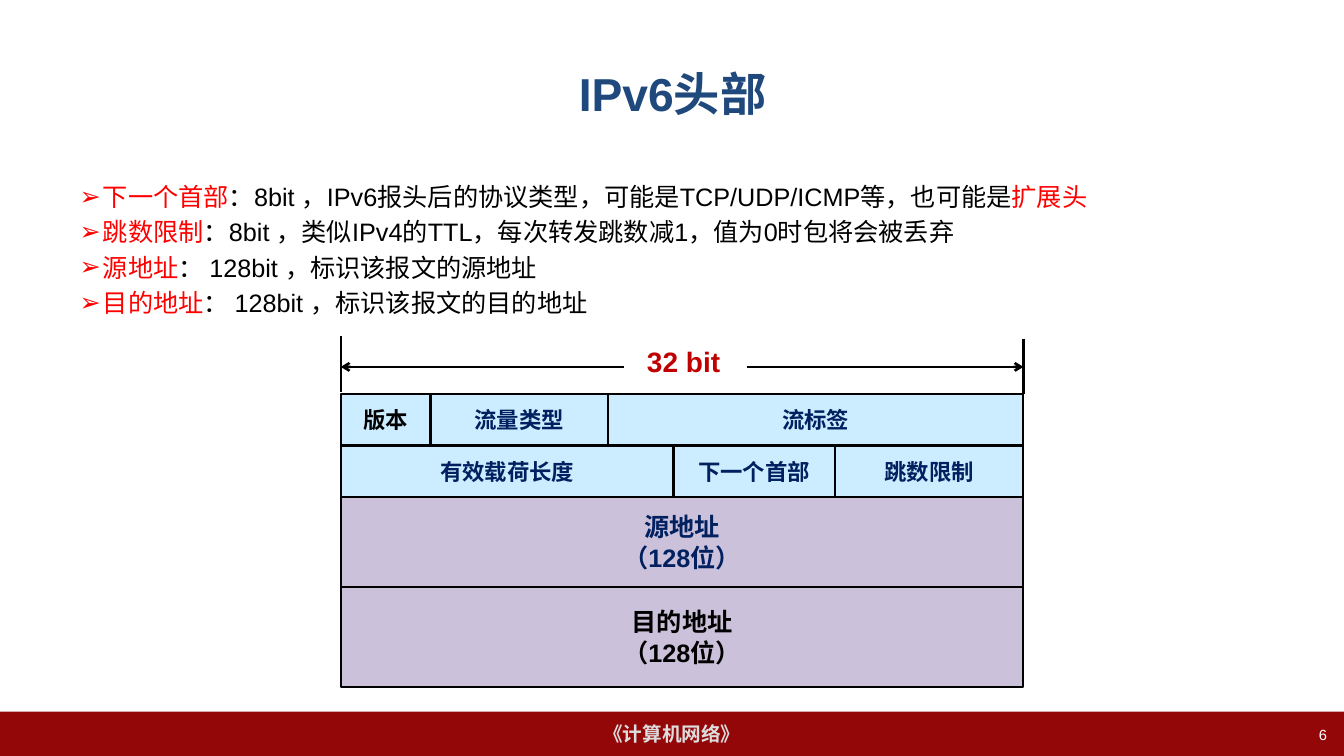
from dataclasses import dataclass

from lxml import etree
from pptx import Presentation
from pptx import util as u
from pptx.dml.color import RGBColor
from pptx.enum import shapes, text
from pptx.oxml.ns import qn

BLACK, NAVY, RED = "000000", "002060", "FF0000"
SKY, LILAC = "CCECFF", "CCC1DA"
LEFT, RIGHT = 3.38, 10.15
CENTER = text.PP_ALIGN.CENTER


@dataclass
class Field:
    lines: list[str]
    width: float
    color: str = NAVY


@dataclass
class Row:
    height: float
    fill: str
    size: float
    fields: list[Field]


@dataclass
class Line:
    start: tuple[float, float]
    end: tuple[float, float]
    arrow: bool = False


HEADER_TOP = 3.91
ROWS = [
    Row(0.51, SKY, 16, [Field(["版本"], 0.89, BLACK), Field(["流量类型"], 1.76),
                        Field(["流标签"], 4.12)]),
    Row(0.51, SKY, 16, [Field(["有效载荷长度"], 3.3), Field(["下一个首部"], 1.6),
                        Field(["跳数限制"], 1.87)]),
    Row(0.89, LILAC, 18, [Field(["源地址", "（128位）"], RIGHT - LEFT)]),
    Row(1.0, LILAC, 18, [Field(["目的地址", "（128位）"], RIGHT - LEFT, BLACK)]),
]
LINES = [
    Line((LEFT, 3.33), (LEFT, 3.89)),
    Line((RIGHT, 3.36), (RIGHT, 3.91)),
    Line((6.19, 3.64), (LEFT, 3.64), True),
    Line((7.41, 3.64), (RIGHT, 3.64), True),
]
BULLETS = [
    [("下一个首部", RED),
     ("：8bit ，IPv6报头后的协议类型，可能是TCP/UDP/ICMP等，也可能是", BLACK),
     ("扩展头", RED)],
    [("跳数限制", RED), ("：8bit ，类似IPv4的TTL，每次转发跳数减1，值为0时包将会被丢弃", BLACK)],
    [("源地址", RED), ("： 128bit ，标识该报文的源地址", BLACK)],
    [("目的地址", RED), ("： 128bit ，标识该报文的目的地址", BLACK)],
]


def rgb(value: str) -> RGBColor:
    return RGBColor.from_string(value)


def place(shape, left: float, top: float, width: float, height: float) -> None:
    shape.left, shape.top = u.Inches(left), u.Inches(top)
    shape.width, shape.height = u.Inches(width), u.Inches(height)


def add_span(para, words: str, size: float, color: str, bold: bool = False) -> None:
    span = para.add_run()
    span.text = words
    span.font.name = "Arial"
    span.font.size = u.Pt(size)
    span.font.bold = bold
    span.font.color.rgb = rgb(color)


def write(frame, lines: list[str], size: float, color: str, bold: bool = True,
          align=CENTER) -> None:
    for index, words in enumerate(lines):
        para = frame.add_paragraph() if index else frame.paragraphs[0]
        para.alignment = align
        add_span(para, words, size, color, bold)


def add_box(page, left: float, top: float, width: float, height: float, fill: str):
    box = page.shapes.add_shape(shapes.MSO_SHAPE.RECTANGLE, u.Inches(left), u.Inches(top),
                                u.Inches(width), u.Inches(height))
    box.shadow.inherit = False
    box.fill.solid()
    box.fill.fore_color.rgb = rgb(fill)
    box.line.fill.background()
    box.text_frame.vertical_anchor = text.MSO_ANCHOR.MIDDLE
    return box


def add_label(page, words: str, left: float, top: float, width: float, height: float,
              size: float, color: str, bold: bool, align) -> None:
    label = page.shapes.add_textbox(u.Inches(left), u.Inches(top),
                                    u.Inches(width), u.Inches(height))
    label.text_frame.word_wrap = True
    write(label.text_frame, [words], size, color, bold, align)


def add_title(page) -> None:
    title = page.shapes.title
    place(title, 0.67, 0.3, 12, 1.25)
    title.text_frame.vertical_anchor = text.MSO_ANCHOR.MIDDLE
    write(title.text_frame, ["IPv6头部"], 33, "1F497D")


def add_bullets(page) -> None:
    body = page.placeholders[1]
    place(body, 0.67, 1.75, 12, 4.95)
    frame = body.text_frame
    frame.auto_size = text.MSO_AUTO_SIZE.NONE
    for index, spans in enumerate(BULLETS):
        para = frame.add_paragraph() if index else frame.paragraphs[0]
        para.level = 1
        para.space_before = u.Pt(3.6)
        properties = para._p.get_or_add_pPr()
        properties.set("marL", str(u.Inches(0.25)))
        properties.set("indent", str(u.Inches(-0.23)))
        etree.SubElement(properties, qn("a:buFont"), typeface="Wingdings 3")
        properties[-1].set("typeface", "Arial")
        etree.SubElement(properties, qn("a:buChar"), char="➢")
        for words, color in spans:
            add_span(para, words, 18, color)


def add_header(page) -> None:
    top = HEADER_TOP
    for row in ROWS:
        left = LEFT
        for field in row.fields:
            box = add_box(page, left, top, field.width, row.height, row.fill)
            box.line.color.rgb = rgb(BLACK)
            box.line.width = u.Pt(1.5)
            write(box.text_frame, field.lines, row.size, field.color)
            left += field.width
        top += row.height


def add_line(page, line: Line) -> None:
    connector = page.shapes.add_connector(shapes.MSO_CONNECTOR.STRAIGHT,
                                          *map(u.Inches, line.start + line.end))
    connector.line.color.rgb = rgb(BLACK)
    connector.line.width = u.Pt(1.75)
    properties = connector._element.spPr
    if line.arrow:
        etree.SubElement(properties.find(qn("a:ln")), qn("a:tailEnd"), type="arrow")
    etree.SubElement(properties, qn("a:effectLst"))


def main() -> None:
    deck = Presentation()
    deck.slide_width, deck.slide_height = u.Inches(13.33), u.Inches(7.5)
    page = deck.slides.add_slide(deck.slide_layouts[1])
    footer = add_box(page, 0, 7.06, 13.33, 0.44, "940709")
    write(footer.text_frame, ["《计算机网络》"], 14, "DDDDDD")
    add_title(page)
    add_bullets(page)
    add_label(page, "6", 10.15, 7.15, 3.11, 0.35, 10.5, "FFFFFF", False, text.PP_ALIGN.RIGHT)
    add_header(page)
    for line in LINES:
        add_line(page, line)
    add_label(page, "32 bit", 5.74, 3.37, 2.08, 0.44, 20, "C00000", True, CENTER)
    deck.save("out.pptx")


if __name__ == "__main__":
    main()
